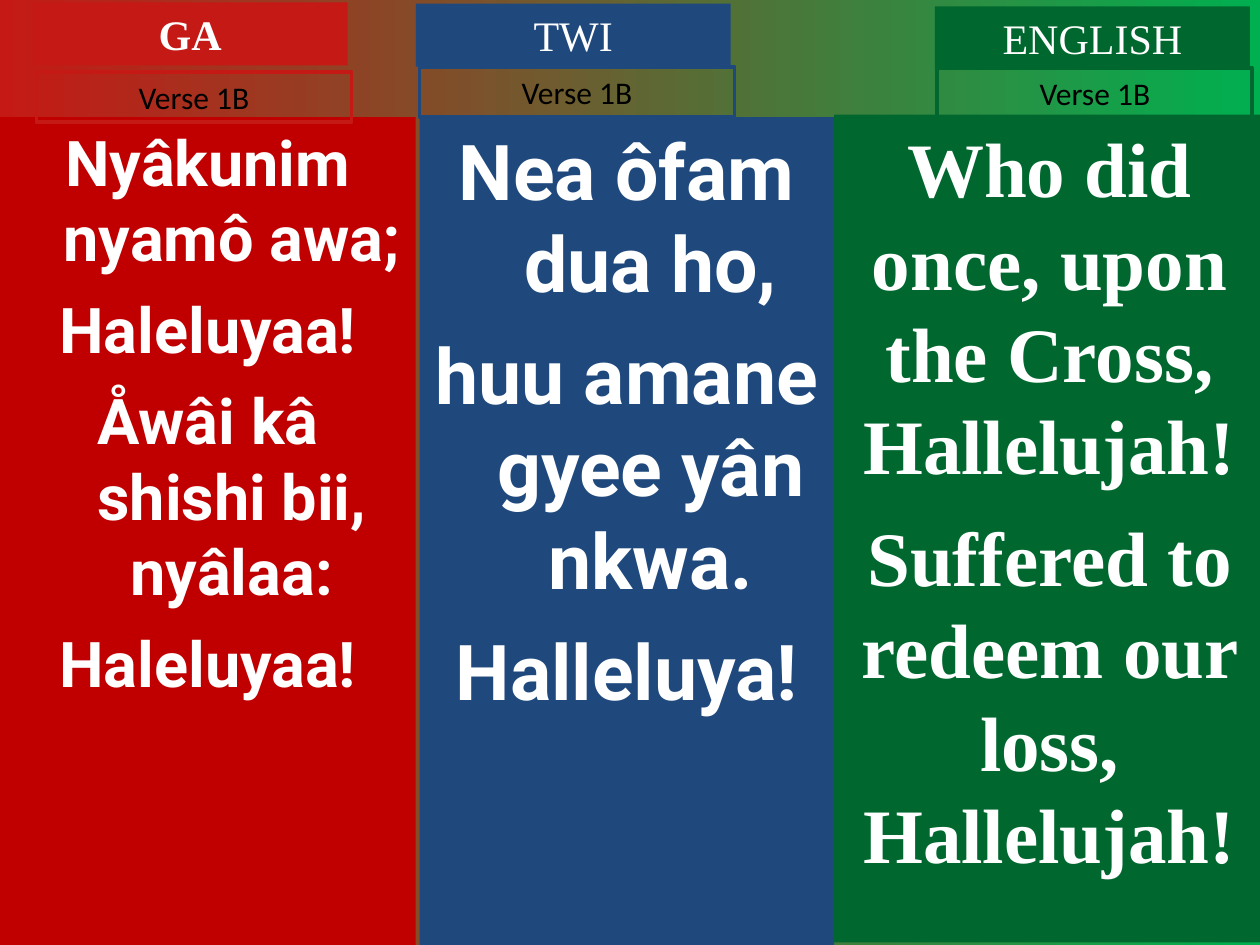
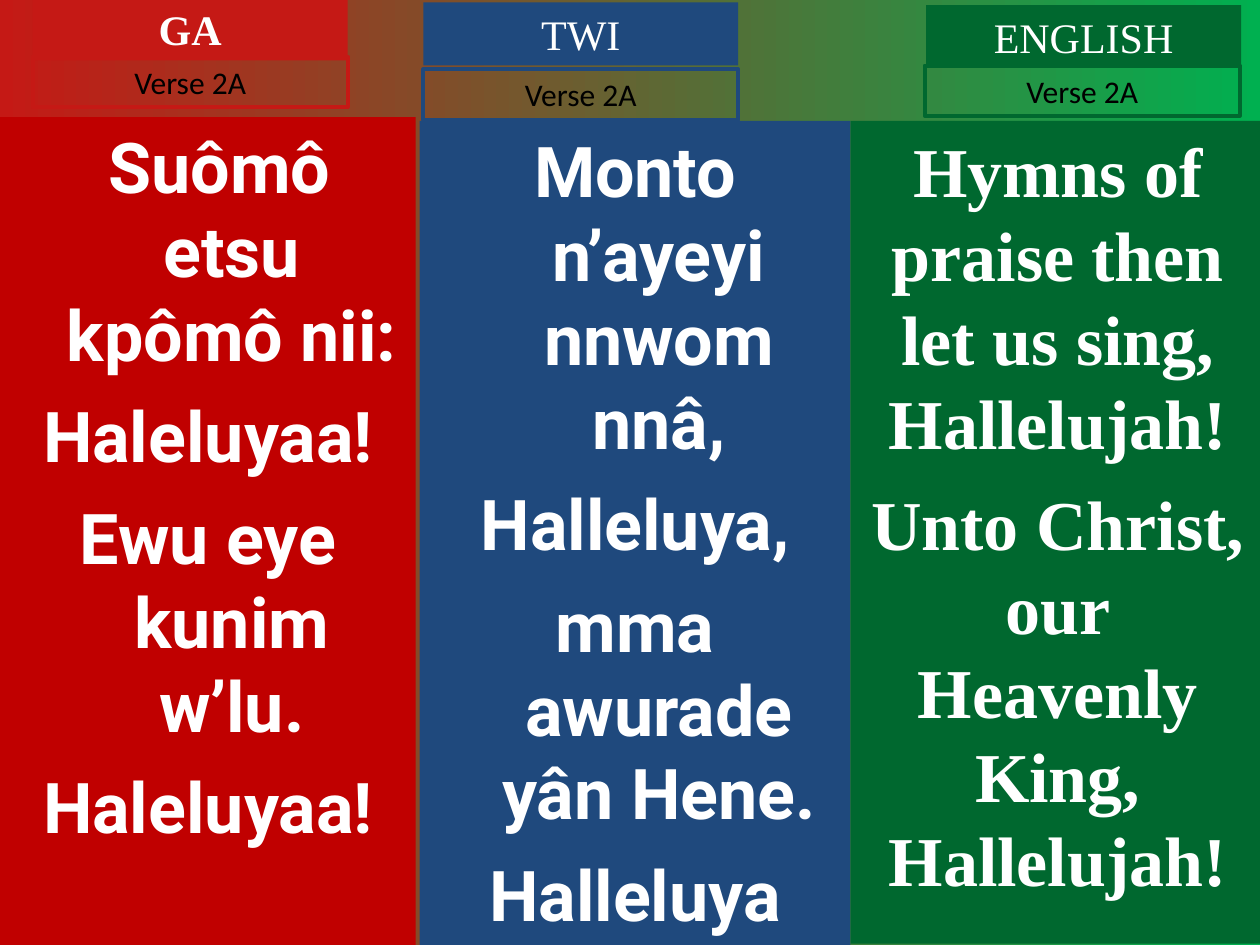
from pptx import Presentation
from pptx.dml.color import RGBColor as RGB
from pptx.enum.shapes import MSO_SHAPE as SHAPE
from pptx.enum.text import MSO_ANCHOR as ANCHOR, MSO_AUTO_SIZE as AUTO, PP_ALIGN as ALIGN
from pptx.util import Inches, Pt

# Content: boxes are (left, top, width, height), tags are (left, top)
LANGUAGES = ["GA", "TWI", "ENGLISH"]
SLIDES = [
    {
        "verse": "Verse 1B",
        "GA": {
            "panel": (0, 0.93, 3.3, 6.57), "title": (0.26, 0.02), "tag": (0.29, 0.57), "size": 36,
            "lines": ["Nyâkunim nyamô awa;", "Haleluyaa!",
                      "Åwâi kâ shishi bii, nyâlaa:", "Haleluyaa!"],
        },
        "TWI": {
            "panel": (3.33, 0.93, 3.29, 6.57), "title": (3.3, 0.03), "tag": (3.33, 0.53), "size": 44,
            "lines": ["Nea ôfam dua ho,", "huu amane gyee yân nkwa.", "Halleluya!"],
        },
        "ENGLISH": {
            "panel": (6.62, 0.91, 3.42, 6.57), "title": (7.42, 0.05), "tag": (7.44, 0.54), "size": 44,
            "lines": ["Who did once, upon the Cross, Hallelujah!",
                      "Suffered to redeem our loss, Hallelujah!"],
        },
    },
    {
        "verse": "Verse 2A",
        "GA": {
            "panel": (0, 0.93, 3.3, 6.57), "title": (0.26, -0.02), "tag": (0.26, 0.45), "size": 40,
            "first_indent": -0.2,
            "lines": ["Suômô etsu kpômô nii:", "Haleluyaa!", "Ewu eye kunim w’lu.", "Haleluyaa!"],
        },
        "TWI": {
            "panel": (3.33, 0.96, 3.42, 6.54), "title": (3.36, 0.02), "tag": (3.36, 0.55), "size": 40,
            "lines": ["Monto n’ayeyi nnwom nnâ,", "Halleluya,", "mma awurade yân Hene.", "Halleluya"],
        },
        "ENGLISH": {
            "panel": (6.75, 0.96, 3.29, 6.53), "title": (7.35, 0.04), "tag": (7.34, 0.52), "size": 40,
            "lines": ["Hymns of praise then let us sing, Hallelujah!",
                      "Unto Christ, our Heavenly King, Hallelujah!"],
        },
    },
]

# Colours, type and sizes
THEME = {
    "background": ("C51915", "00B050"),
    "panel": {"GA": "C00000", "TWI": "1F497D", "ENGLISH": "00682F"},
    "label": {"GA": "C51915", "TWI": "1F497D", "ENGLISH": "00682F"},
    "lyric_font": {"GA": "Roboto", "TWI": "Roboto", "ENGLISH": "Times New Roman"},
    "hanging": {"GA": 0.38, "TWI": 0.38, "ENGLISH": 0},
    "title": {"name": "Times New Roman", "size": Pt(24)},
    "tag": {"name": "Calibri", "size": Pt(18)},
    "light": "FFFFFF",
    "dark": "000000",
    "title_size": (2.5, 0.5),
    "tag_size": (2.5, 0.4),
    "tag_line": 2.25,
    "space_ratio": 0.25,
}


def add_box(slide, box, fill=None, line=None):
    sp = slide.shapes.add_shape(SHAPE.RECTANGLE, *map(Inches, box))
    sp.shadow.inherit = False
    if fill:
        sp.fill.solid()
        sp.fill.fore_color.rgb = RGB.from_string(fill)
    else:
        sp.fill.background()
    if line:
        sp.line.color.rgb = RGB.from_string(line)
        sp.line.width = Pt(THEME["tag_line"])
    else:
        sp.line.fill.background()
    return sp


def write(sp, lines, font, color, auto_size=AUTO.NONE):
    tf = sp.text_frame
    for name, value in {"word_wrap": True, "vertical_anchor": ANCHOR.TOP,
                        "auto_size": auto_size}.items():
        setattr(tf, name, value)
    for i, line in enumerate(lines):
        p = tf.paragraphs[0] if i == 0 else tf.add_paragraph()
        p.alignment = ALIGN.CENTER
        r = p.add_run()
        r.text = line
        for name, value in font.items():
            setattr(r.font, name, value)
        r.font.color.rgb = RGB.from_string(color)
    return tf.paragraphs


def add_lyrics(slide, lang, part):
    sp = add_box(slide, part["panel"], fill=THEME["panel"][lang])
    font = {"name": THEME["lyric_font"][lang], "size": Pt(part["size"]), "bold": True}
    hanging = THEME["hanging"][lang]
    for i, p in enumerate(write(sp, part["lines"], font, THEME["light"])):
        indent = -hanging
        if i:
            p.space_before = Pt(round(part["size"] * THEME["space_ratio"]))
        else:
            indent = part.get("first_indent", indent)
        pPr = p._p.get_or_add_pPr()
        pPr.set("marL", str(Inches(hanging)))
        pPr.set("indent", str(Inches(indent)))


def add_column(slide, lang, part, verse):
    add_lyrics(slide, lang, part)
    color = THEME["label"][lang]
    # Language title
    sp = add_box(slide, part["title"] + THEME["title_size"], fill=color)
    font = {**THEME["title"], "bold": lang == "GA"}
    write(sp, [lang], font, THEME["light"], AUTO.SHAPE_TO_FIT_TEXT)
    # Verse tag
    sp = add_box(slide, part["tag"] + THEME["tag_size"], line=color)
    write(sp, [verse], THEME["tag"], THEME["dark"], AUTO.SHAPE_TO_FIT_TEXT)


def set_background(slide):
    fill = slide.background.fill
    fill.gradient()
    fill.gradient_angle = 0
    for stop, color in zip(fill.gradient_stops, THEME["background"]):
        stop.color.rgb = RGB.from_string(color)


def main():
    prs = Presentation()
    prs.slide_width, prs.slide_height = Inches(10), Inches(7.5)
    for content in SLIDES:
        slide = prs.slides.add_slide(prs.slide_layouts[6])
        set_background(slide)
        for lang in LANGUAGES:
            add_column(slide, lang, content[lang], content["verse"])
    prs.save("out.pptx")


if __name__ == "__main__":
    main()
